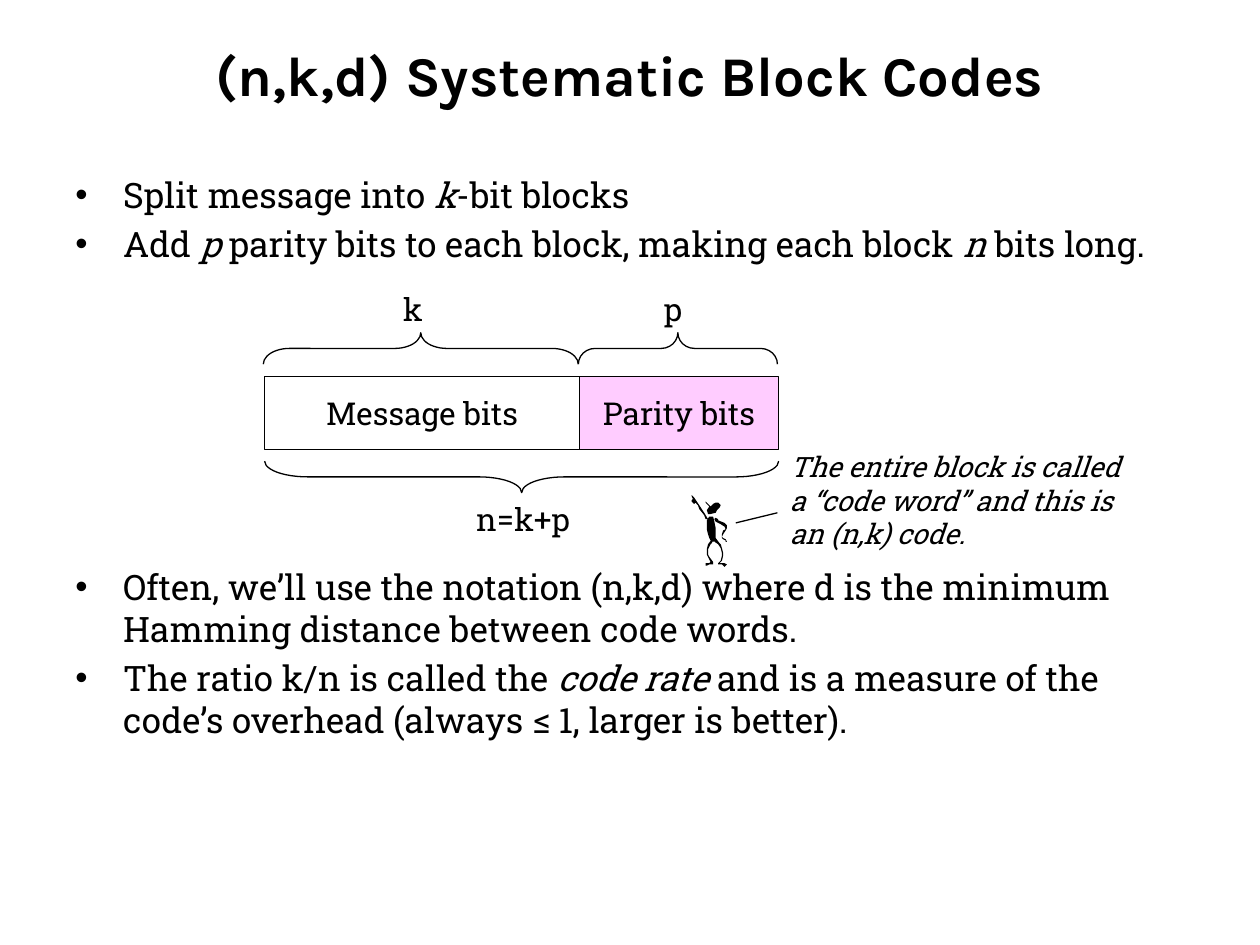
from lxml import etree
from pptx import Presentation
from pptx.dml.color import RGBColor
from pptx.enum.shapes import MSO_CONNECTOR, MSO_SHAPE
from pptx.enum.text import MSO_ANCHOR, PP_ALIGN
from pptx.oxml.ns import qn
from pptx.util import Inches, Pt

LEFT, CENTER = PP_ALIGN.LEFT, PP_ALIGN.CENTER
TOP, MIDDLE = MSO_ANCHOR.TOP, MSO_ANCHOR.MIDDLE
RECTANGLE, RIGHT_BRACE = MSO_SHAPE.RECTANGLE, MSO_SHAPE.RIGHT_BRACE
STRAIGHT = MSO_CONNECTOR.STRAIGHT

POINTS = [
    (0, [("Split message into ", False), ("k", True), ("-bit blocks", False)]),
    (4, [("Add ", False), ("p", True),
         (" parity bits to each block, making each block ", False),
         ("n", True), (" bits long.", False)]),
    (172, [("Often, we’ll use the notation (n,k,d) where d is the minimum "
            "Hamming distance between code words.", False)]),
    (4, [("The ratio k/n is called the ", False), ("code rate", True),
         (" and is a measure of the code’s overhead "
          "(always ≤ 1, larger is better).", False)]),
]

HEAD = [(572, 401), (570, 399), (568, 399), (566, 400), (564, 402), (561, 399),
        (560, 398), (560, 399), (563, 402), (561, 405), (562, 408), (564, 408),
        (568, 407), (569, 405), (571, 403)]
RAISED_ARM = [(562, 412), (559, 407), (555, 401), (551, 395), (549, 393),
              (549, 394), (550, 396), (549, 397), (549, 398), (551, 400),
              (552, 399), (554, 401), (555, 404), (559, 409), (560, 412)]
TORSO = [(564, 410), (563, 410), (561, 413), (561, 420), (562, 424), (563, 427),
         (564, 429), (566, 430), (568, 429), (568, 419), (567, 414), (566, 410)]
BENT_ARM = [(570, 412), (568, 411), (567, 412), (568, 414), (572, 416), (575, 418),
            (576, 420), (574, 421), (573, 424), (573, 427), (574, 428), (576, 429),
            (576, 430), (577, 430), (576, 428), (574, 427), (573, 426), (574, 424),
            (576, 421), (577, 419), (577, 417), (575, 415), (570, 413)]
LEFT_LEG = [(565, 431), (566, 429), (566, 428), (565, 428), (562, 432), (561, 436),
            (561, 440), (563, 444), (564, 446), (563, 447), (560, 447), (560, 449),
            (561, 449), (563, 448), (566, 448), (566, 446), (563, 442), (562, 440),
            (562, 436), (564, 432)]
RIGHT_LEG = [(571, 431), (568, 427), (567, 427), (567, 430), (570, 432), (572, 435),
             (573, 439), (573, 441), (572, 445), (570, 447), (570, 448), (573, 448),
             (575, 450), (577, 448), (575, 447), (571, 447), (573, 445), (574, 441),
             (574, 439), (573, 435), (572, 432)]


def color(hex_text):
    """Return the colour for a hex string."""
    return RGBColor.from_string(hex_text)


class Deck:
    """Hold the style and the current slide, and draw each kind of element."""

    title_font = "Karla"
    body_font = "Roboto Slab"
    ink = "000000"
    line_width = Pt(0.75)

    def __init__(self):
        """Start a presentation with one blank slide."""
        self.presentation = Presentation()
        self.presentation.slide_width = Inches(10)
        self.presentation.slide_height = Inches(7.5)
        layout = self.presentation.slide_layouts[6]
        self.shapes = self.presentation.slides.add_slide(layout).shapes

    def run(self, paragraph, text, size, italic=False, bold=False, font=body_font):
        """Add one styled run."""
        run = paragraph.add_run()
        run.text = text
        run.font.name = font
        run.font.size = Pt(size)
        run.font.italic = italic
        run.font.bold = bold
        run.font.color.rgb = color(self.ink)

    def text(self, left, top, width, height, words, size, wrap=False,
             align=LEFT, anchor=TOP, **style):
        """Add a text box with one paragraph."""
        box = self.shapes.add_textbox(*map(Inches, (left, top, width, height)))
        frame = box.text_frame
        frame.word_wrap = wrap
        frame.vertical_anchor = anchor
        paragraph = frame.paragraphs[0]
        paragraph.alignment = align
        self.run(paragraph, words, size, **style)

    def bullets(self, left, top, width, height, points, size):
        """Add a bulleted list with the given space before each point."""
        box = self.shapes.add_textbox(*map(Inches, (left, top, width, height)))
        frame = box.text_frame
        frame.word_wrap = True
        for index, (space, runs) in enumerate(points):
            paragraph = frame.add_paragraph() if index else frame.paragraphs[0]
            paragraph.space_before = Pt(space)
            properties = paragraph._p.get_or_add_pPr()
            properties.set("marL", str(Inches(0.38)))
            properties.set("indent", str(-Inches(0.38)))
            etree.SubElement(properties, qn("a:buFont"), typeface="Arial")
            etree.SubElement(properties, qn("a:buChar"), char="•")
            for words, italic in runs:
                self.run(paragraph, words, size, italic)

    def outline(self, shape):
        """Give a shape the thin dark line and no shadow."""
        shape.shadow.inherit = False
        shape.line.color.rgb = color(self.ink)
        shape.line.width = self.line_width

    def field(self, left, top, width, height, fill, label):
        """Add a labelled rectangle for a part of the block."""
        field = self.shapes.add_shape(
            RECTANGLE, *map(Inches, (left, top, width, height)))
        self.outline(field)
        field.fill.solid()
        field.fill.fore_color.rgb = color(fill)
        field.text_frame.word_wrap = False
        field.text_frame.vertical_anchor = MIDDLE
        paragraph = field.text_frame.paragraphs[0]
        paragraph.alignment = CENTER
        self.run(paragraph, label, 18)

    def brace(self, left, top, span, rotation, curve, depth=0.25):
        """Add a horizontal brace by turning an upright one about its centre."""
        shift = (span - depth) / 2
        brace = self.shapes.add_shape(
            RIGHT_BRACE, *map(Inches, (left + shift, top - shift, depth, span)))
        brace.rotation = rotation
        brace.adjustments[0] = curve
        brace.adjustments[1] = 0.5
        brace.fill.background()
        self.outline(brace)

    def figure(self, *parts):
        """Add a group of filled outlines given in hundredths of an inch."""
        group = self.shapes.add_group_shape()
        for start, *rest in parts:
            builder = group.shapes.build_freeform(*start, scale=Inches(0.01))
            builder.add_line_segments(rest, close=True)
            part = builder.convert_to_shape()
            part.shadow.inherit = False
            part.fill.solid()
            part.fill.fore_color.rgb = color(self.ink)
            part.line.fill.background()

    def line(self, *ends):
        """Add a thin straight line."""
        line = self.shapes.add_connector(STRAIGHT, *map(Inches, ends))
        line.line.color.rgb = color(self.ink)
        line.line.width = self.line_width
        etree.SubElement(line._element.spPr, qn("a:effectLst"))


def main():
    """Build the slide and save it."""
    deck = Deck()
    deck.text(0, 0.25, 10, 0.67, "(n,k,d) Systematic Block Codes", 32, wrap=True,
              align=CENTER, anchor=MIDDLE, bold=True, font=deck.title_font)
    deck.bullets(0.5, 1.33, 9, 5.58, POINTS, 20)

    block_left, message_width, parity_width = 2.1, 2.5, 1.58
    parity_left = block_left + message_width
    deck.field(block_left, 2.99, message_width, 0.58, "FFFFFF", "Message bits")
    deck.field(parity_left, 2.99, parity_width, 0.58, "FFCCFF", "Parity bits")
    deck.brace(block_left - 0.01, 2.64, message_width, 270, 0.83)
    deck.brace(parity_left - 0.01, 2.64, parity_width, 270, 0.53)
    deck.brace(block_left, 3.66, message_width + parity_width, 90, 1.36)
    deck.text(3.1, 2.25, 0.36, 0.4, "k", 18)
    deck.text(5.17, 2.25, 0.83, 0.4, "p", 18, wrap=True)
    deck.text(3.68, 3.92, 0.98, 0.4, "n=k+p", 18)

    deck.figure(HEAD, RAISED_ARM, TORSO, BENT_ARM, LEFT_LEG, RIGHT_LEG)
    deck.text(6.17, 3.52, 2.83, 0.91, "The entire block is called a “code word” "
              "and this is an (n,k) code.", 16, wrap=True, italic=True)
    deck.line(5.84, 4.15, 6.17, 4.07)
    deck.presentation.save("out.pptx")


if __name__ == "__main__":
    main()
